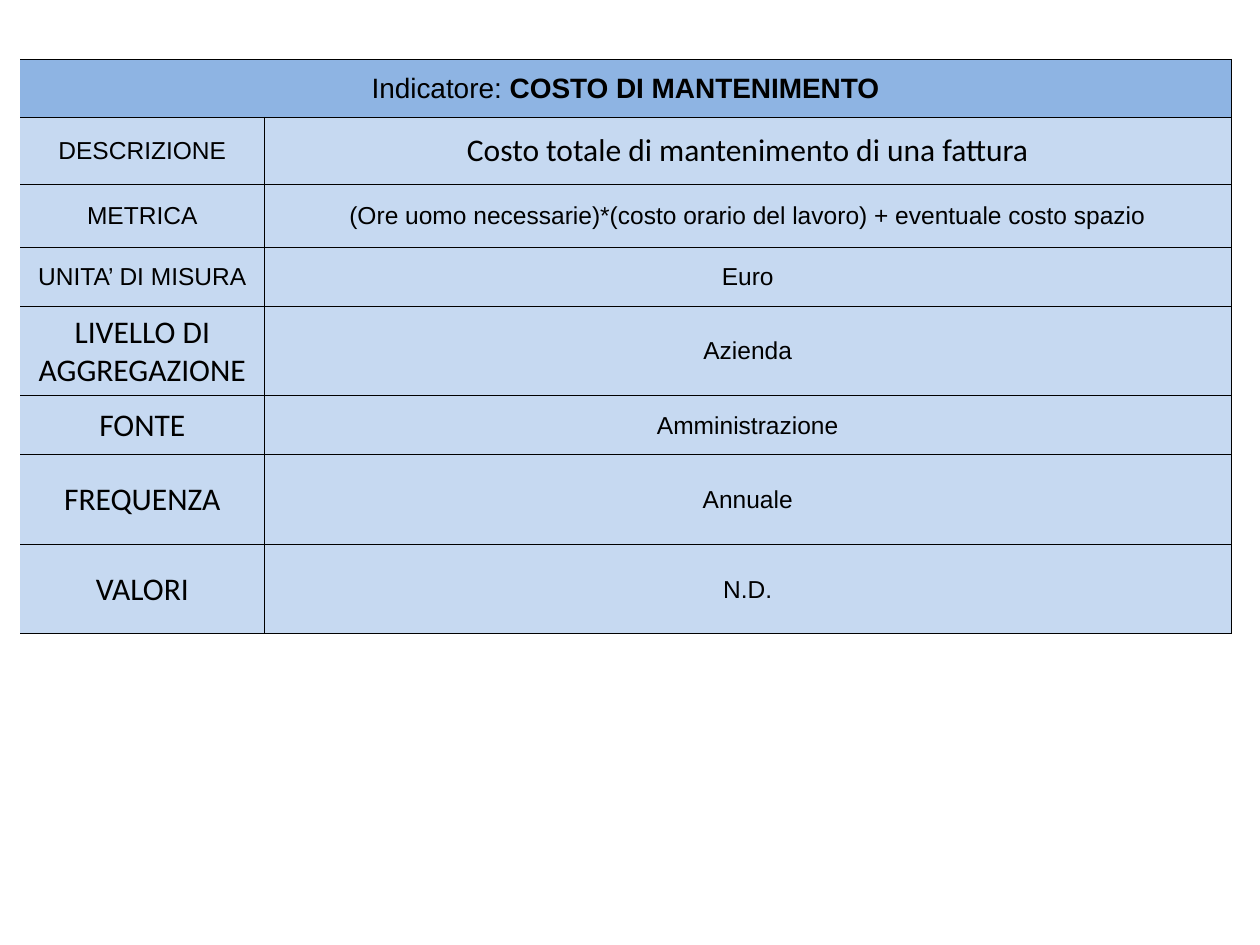
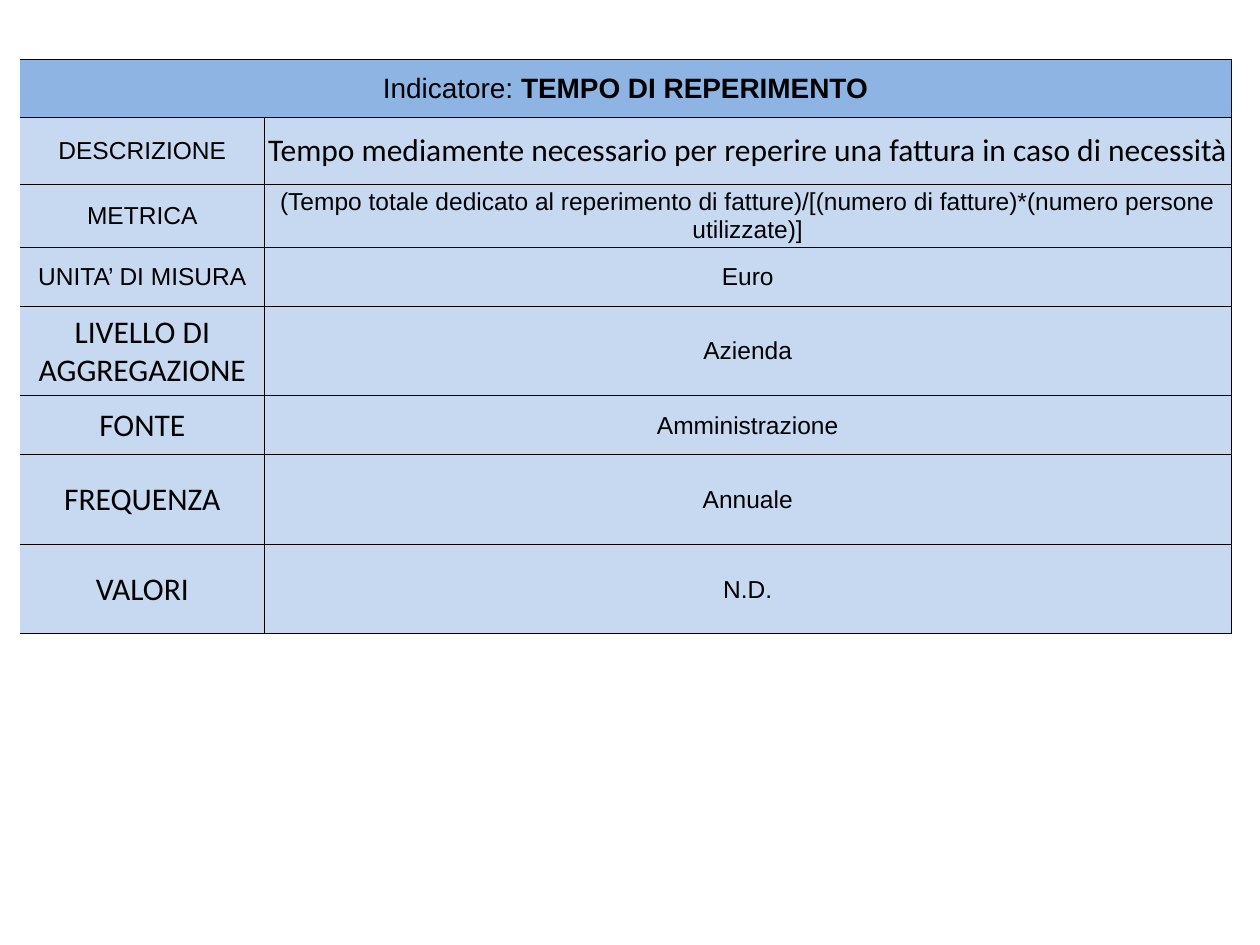
from dataclasses import dataclass

from lxml import etree
from pptx import Presentation
from pptx.dml.color import RGBColor
from pptx.enum.text import MSO_ANCHOR, PP_ALIGN
from pptx.oxml.ns import qn
from pptx.util import Inches, Pt

CENTER = PP_ALIGN.CENTER
MIDDLE = MSO_ANCHOR.MIDDLE


@dataclass(frozen=True)
class Theme:
    header_fill: str = "8EB4E3"
    body_fill: str = "C6D9F1"
    ink: str = "000000"
    plain_font: str = "Arial"
    accent_font: str = "Calibri"
    header_size: int = 16
    plain_size: int = 14
    accent_size: int = 18
    border_width: float = 0.5


@dataclass(frozen=True)
class Field:
    label: str
    height: float
    accent_label: bool = False
    accent_value: bool = False
    space_after: float = 0


@dataclass(frozen=True)
class Indicator:
    name: str
    description: str
    metric: str


THEME = Theme()

# Table geometry in inches
LEFT, TOP = 0.16, 0.47
COLUMN_WIDTHS = (1.94, 7.67)
HEADER_HEIGHT = 0.46
CELL_INSET = 0.01

# Rows of every indicator sheet
FIELDS = (
    Field("DESCRIZIONE", 0.53, accent_value=True, space_after=15.5),
    Field("METRICA", 0.5),
    Field("UNITA’ DI MISURA", 0.47),
    Field("LIVELLO DI AGGREGAZIONE", 0.71, accent_label=True),
    Field("FONTE", 0.47, accent_label=True),
    Field("FREQUENZA", 0.71, accent_label=True),
    Field("VALORI", 0.71, accent_label=True),
)
SHARED_VALUES = ("Euro", "Azienda", "Amministrazione", "Annuale", "N.D.")

INDICATORS = (
    Indicator(
        "COSTO DI MANTENIMENTO",
        "Costo totale di mantenimento di una fattura",
        "(Ore uomo necessarie)*(costo orario del lavoro) + eventuale costo spazio",
    ),
    Indicator(
        "TEMPO DI REPERIMENTO",
        "Tempo mediamente necessario per reperire una fattura in caso di necessità",
        "(Tempo totale dedicato al reperimento di fatture)/"
        "[(numero di fatture)*(numero persone utilizzate)]",
    ),
)


def add_text(paragraph, text: str, *, size: int = THEME.plain_size,
             font: str = THEME.plain_font, bold: bool = False) -> None:
    run = paragraph.add_run()
    run.text = text
    run.font.size = Pt(size)
    run.font.name = font
    run.font.bold = bold
    run.font.color.rgb = RGBColor.from_string(THEME.ink)


def set_borders(cell, has_left: bool) -> None:
    """Draw thin lines round a cell, leaving the left side open if asked."""
    properties = cell._tc.get_or_add_tcPr()
    for position, side in enumerate(("lnL", "lnR", "lnT", "lnB")):
        line = etree.Element(qn(f"a:{side}"), w=str(Pt(THEME.border_width)))
        if side == "lnL" and not has_left:
            etree.SubElement(line, qn("a:noFill"))
        else:
            fill = etree.SubElement(line, qn("a:solidFill"))
            etree.SubElement(fill, qn("a:srgbClr"), val=THEME.ink)
        properties.insert(position, line)


def format_cell(cell, fill: str, has_left: bool):
    """Style a cell and return its paragraph."""
    cell.fill.solid()
    cell.fill.fore_color.rgb = RGBColor.from_string(fill)
    cell.vertical_anchor = MIDDLE
    cell.margin_left = cell.margin_right = cell.margin_top = Inches(CELL_INSET)
    cell.margin_bottom = 0
    set_borders(cell, has_left)
    paragraph = cell.text_frame.paragraphs[0]
    paragraph.alignment = CENTER
    return paragraph


def add_indicator_slide(prs, indicator: Indicator) -> None:
    slide = prs.slides.add_slide(prs.slide_layouts[6])
    heights = (HEADER_HEIGHT, *(field.height for field in FIELDS))
    table = slide.shapes.add_table(
        len(heights), len(COLUMN_WIDTHS), Inches(LEFT), Inches(TOP),
        Inches(sum(COLUMN_WIDTHS)), Inches(sum(heights))).table
    table.first_row = table.horz_banding = False
    for column, width in zip(table.columns, COLUMN_WIDTHS):
        column.width = Inches(width)
    for row, height in zip(table.rows, heights):
        row.height = Inches(height)

    # Header across both columns
    table.cell(0, 0).merge(table.cell(0, 1))
    heading = format_cell(table.cell(0, 0), THEME.header_fill, has_left=False)
    format_cell(table.cell(0, 1), THEME.header_fill, has_left=False)
    add_text(heading, "Indicatore: ", size=THEME.header_size)
    add_text(heading, indicator.name, size=THEME.header_size, bold=True)

    # Label and value of each field
    accent = {"size": THEME.accent_size, "font": THEME.accent_font}
    values = (indicator.description, indicator.metric, *SHARED_VALUES)
    for row, (field, value) in enumerate(zip(FIELDS, values), start=1):
        label_line = format_cell(table.cell(row, 0), THEME.body_fill, has_left=False)
        add_text(label_line, field.label, **(accent if field.accent_label else {}))
        value_line = format_cell(table.cell(row, 1), THEME.body_fill, has_left=True)
        add_text(value_line, value, **(accent if field.accent_value else {}))
        if field.space_after:
            value_line.space_after = Pt(field.space_after)


def main() -> None:
    prs = Presentation()
    prs.slide_width, prs.slide_height = Inches(10), Inches(7.5)
    for indicator in INDICATORS:
        add_indicator_slide(prs, indicator)
    prs.save("out.pptx")


if __name__ == "__main__":
    main()
